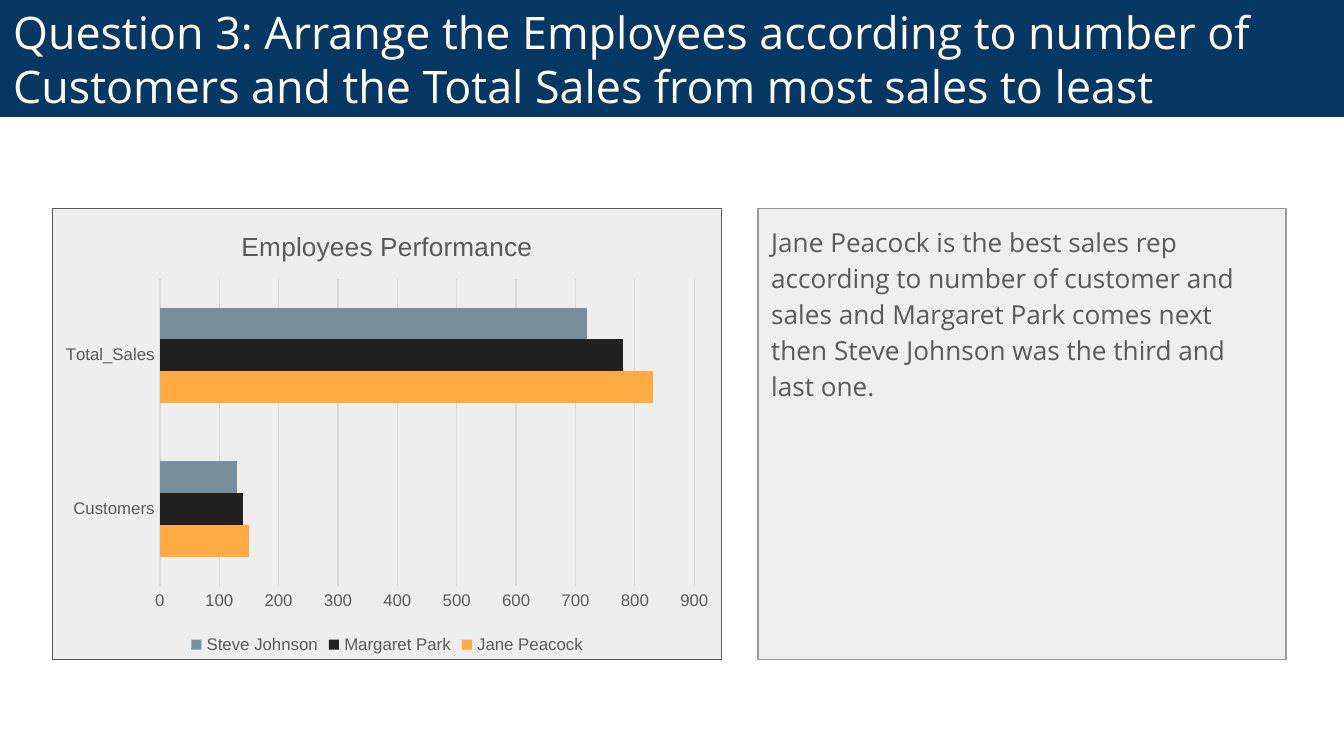
"""Build the employee performance slide with a bar chart and its conclusion."""
from dataclasses import dataclass

from pptx import Presentation
from pptx.chart.data import CategoryChartData
from pptx.dml.color import RGBColor
from pptx.enum.chart import XL_CHART_TYPE, XL_LEGEND_POSITION, XL_TICK_MARK
from pptx.enum.shapes import MSO_SHAPE
from pptx.enum.text import MSO_ANCHOR, PP_ALIGN
from pptx.util import Inches, Pt

RECTANGLE = MSO_SHAPE.RECTANGLE
BAR_CLUSTERED = XL_CHART_TYPE.BAR_CLUSTERED
LEGEND_BOTTOM = XL_LEGEND_POSITION.BOTTOM
NO_TICK = XL_TICK_MARK.NONE
TOP, MIDDLE = MSO_ANCHOR.TOP, MSO_ANCHOR.MIDDLE
LEFT = PP_ALIGN.LEFT

SLIDE_WIDTH = Inches(10)
SLIDE_HEIGHT = SLIDE_WIDTH * 9 // 16
GRID_COLUMNS = 100
CELL = SLIDE_WIDTH // GRID_COLUMNS
TEXT_FONT, CHART_FONT = "Open Sans", "Arial"
COLORS = {
    "navy": "073763",
    "white": "FFFFFF",
    "chart_panel": "EEEEEE",
    "note_panel": "EFEFEF",
    "note_border": "999999",
    "gray": "595959",
    "grid": "D9D9D9",
    "orange": "FFAB40",
    "black": "212121",
    "slate": "78909C",
}


@dataclass(frozen=True)
class Area:
    column: float
    row: float
    columns: float
    rows: float

    def lengths(self) -> tuple[int, ...]:
        """Turn square grid cells into lengths."""
        cells = (self.column, self.row, self.columns, self.rows)
        return tuple(round(count * CELL) for count in cells)


@dataclass(frozen=True)
class Panel:
    area: Area
    fill: str
    border: str | None = None


@dataclass(frozen=True)
class Employee:
    name: str
    customers: int
    total_sales: int
    color: str


PANEL_ROW, PANEL_ROWS = 15.5, 33.6
CHART_AREA = Area(3.9, PANEL_ROW, 49.8, PANEL_ROWS)
NOTE_AREA = Area(56.4, PANEL_ROW, 39.3, PANEL_ROWS)
NOTE_PANEL = Panel(NOTE_AREA, "note_panel", "note_border")
CHART_PANEL = Panel(CHART_AREA, "chart_panel", "gray")
TITLE_PANEL = Panel(Area(0, 0, GRID_COLUMNS, 8.7), "navy")
EMPLOYEES = [
    Employee("Jane Peacock", 150, 830, "orange"),
    Employee("Margaret Park", 140, 780, "black"),
    Employee("Steve Johnson", 130, 720, "slate"),
]
TITLE = (
    "Question 3: Arrange the Employees according to number of Customers "
    "and the Total Sales from most sales to least"
)
NOTE = (
    "Jane Peacock is the best sales rep according to number of customer and sales "
    "and Margaret Park comes next then Steve Johnson was the third and last one."
)


def color(name: str) -> RGBColor:
    """Look up a named color."""
    return RGBColor.from_string(COLORS[name])


def style_font(font, size: float, color_name: str, family: str = CHART_FONT) -> None:
    """Set the family, size and color of a font."""
    font.name, font.size, font.bold = family, Pt(size), False
    font.color.rgb = color(color_name)


def style_line(line, color_name: str) -> None:
    """Set a thin colored line."""
    line.color.rgb = color(color_name)
    line.width = Pt(0.75)


def add_panel(slide, panel: Panel):
    """Draw a flat rectangle."""
    shape = slide.shapes.add_shape(RECTANGLE, *panel.area.lengths())
    shape.shadow.inherit = False
    shape.fill.solid()
    shape.fill.fore_color.rgb = color(panel.fill)
    if panel.border:
        style_line(shape.line, panel.border)
    else:
        shape.line.fill.background()
    return shape


def write_text(shape, text: str, *, size: float, color_name: str, anchor=TOP,
               line_spacing: float = 1.0, space_after: float = 0) -> None:
    """Write one formatted paragraph into a shape."""
    frame = shape.text_frame
    frame.word_wrap = True
    frame.vertical_anchor = anchor
    frame.margin_left = frame.margin_right = Inches(0.1)
    frame.margin_top = frame.margin_bottom = Inches(0.1)
    paragraph = frame.paragraphs[0]
    paragraph.alignment = LEFT
    paragraph.line_spacing = line_spacing
    paragraph.space_after = Pt(space_after)
    run = paragraph.add_run()
    run.text = text
    style_font(run.font, size, color_name, TEXT_FONT)


def style_axis(axis) -> None:
    """Remove tick marks and format the labels."""
    axis.major_tick_mark = axis.minor_tick_mark = NO_TICK
    style_font(axis.tick_labels.font, 9, "gray")


def add_performance_chart(slide, area: Area, employees: list[Employee]) -> None:
    """Draw the customers and sales of every employee as bars."""
    data = CategoryChartData()
    data.categories = ["Customers", "Total_Sales"]
    for employee in employees:
        data.add_series(employee.name, (employee.customers, employee.total_sales))
    chart = slide.shapes.add_chart(BAR_CLUSTERED, *area.lengths(), data).chart
    chart.font.name, chart.font.size = CHART_FONT, Pt(10)

    chart.has_title = True
    title_run = chart.chart_title.text_frame.paragraphs[0].add_run()
    title_run.text = "Employees Performance"
    style_font(title_run.font, 14, "gray")
    chart.chart_title.include_in_layout = False

    chart.has_legend = True
    chart.legend.position = LEGEND_BOTTOM
    chart.legend.include_in_layout = False
    style_font(chart.legend.font, 9, "gray")

    plot = chart.plots[0]
    plot.gap_width, plot.overlap = 182, 0
    plot.vary_by_categories = False
    for series, employee in zip(plot.series, employees):
        series.format.fill.solid()
        series.format.fill.fore_color.rgb = color(employee.color)

    style_axis(chart.category_axis)
    style_line(chart.category_axis.format.line, "grid")
    value_axis = chart.value_axis
    style_axis(value_axis)
    value_axis.minimum_scale, value_axis.maximum_scale = 0, 900
    value_axis.major_unit = 100
    value_axis.format.line.fill.background()
    style_line(value_axis.major_gridlines.format.line, "grid")


def main() -> None:
    """Build and save the slide."""
    presentation = Presentation()
    presentation.slide_width, presentation.slide_height = SLIDE_WIDTH, SLIDE_HEIGHT
    slide = presentation.slides.add_slide(presentation.slide_layouts[6])
    write_text(add_panel(slide, NOTE_PANEL), NOTE, size=14, color_name="gray",
               line_spacing=1.15, space_after=16)
    add_panel(slide, CHART_PANEL)
    write_text(add_panel(slide, TITLE_PANEL), TITLE, size=24, color_name="white",
               anchor=MIDDLE)
    add_performance_chart(slide, CHART_AREA, EMPLOYEES)
    presentation.save("out.pptx")


if __name__ == "__main__":
    main()
